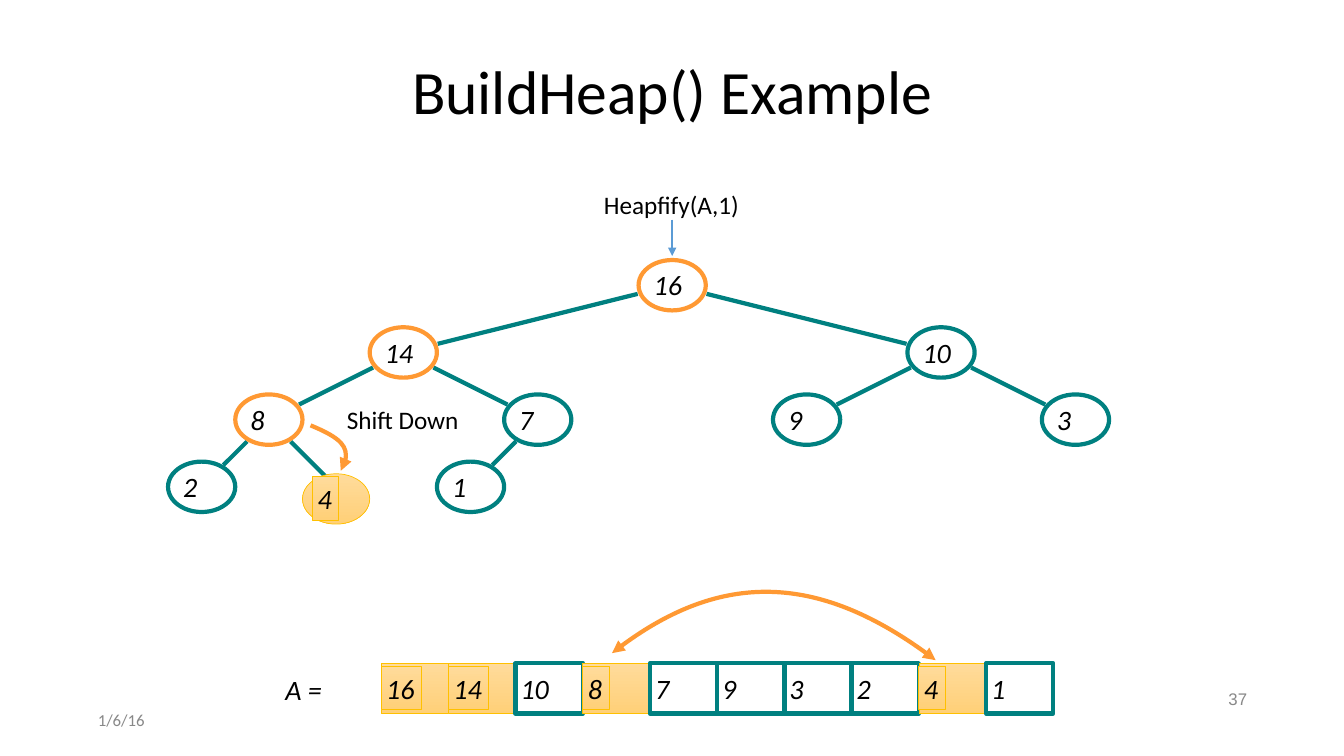
from lxml import etree
from pptx import Presentation
from pptx.dml.color import RGBColor
from pptx.enum.shapes import MSO_CONNECTOR, MSO_SHAPE
from pptx.enum.text import MSO_ANCHOR, MSO_AUTO_SIZE, PP_ALIGN
from pptx.oxml.ns import qn
from pptx.util import Inches, Pt

STRAIGHT = MSO_CONNECTOR.STRAIGHT
OVAL, RECTANGLE = MSO_SHAPE.OVAL, MSO_SHAPE.RECTANGLE
TOP, MIDDLE = MSO_ANCHOR.TOP, MSO_ANCHOR.MIDDLE
LEFT, CENTER, RIGHT = PP_ALIGN.LEFT, PP_ALIGN.CENTER, PP_ALIGN.RIGHT
FIT_TEXT, NO_FIT = MSO_AUTO_SIZE.SHAPE_TO_FIT_TEXT, MSO_AUTO_SIZE.NONE

TEAL, ORANGE, GOLD, BLUE = "008080", "FF9933", "FFC000", "5B9BD5"
SHADE_LIGHT, SHADE_DARK = "FFDB9B", "FFD078"
WHITE, BLACK, GRAY = "FFFFFF", "000000", "888888"

HEAP = [16, 14, 10, 8, 7, 9, 3, 2, 4, 1]
SHIFT_PATH = (1, 2, 4)
SHIFTED = 9
SHADED_CELLS = (1, 2, 4, 9)
STEP = 2 / 3
WIDTH, HEIGHT = STEP, 0.5
ROOT_X, ROOT_Y = 20 / 3, 2.83
ARRAY_LEFT, ARRAY_TOP = 3.78, 6.58
EDGE_RADII = (0.36, 0.27)


def color(code):
    """Turn a hex string into a colour."""
    return RGBColor.from_string(code)


def set_line(shape, code, width):
    """Give a shape or connector its line."""
    shape.line.color.rgb = color(code)
    shape.line.width = Pt(width)


def add_ends(shape, *ends):
    """Put triangle arrowheads on the named ends of a line."""
    for end in ends:
        etree.SubElement(shape.line._get_or_add_ln(), qn(f"a:{end}"), type="triangle")


def shade(shape):
    """Fill a shape with the golden highlight gradient."""
    shape.fill.gradient()
    shape.fill.gradient_angle = 270
    for stop, code in zip(shape.fill.gradient_stops, (SHADE_LIGHT, SHADE_DARK)):
        stop.color.rgb = color(code)
    set_line(shape, GOLD, 0.5)


def add_outline(shapes, kind, left, top, line, fill=None, shaded=False):
    """Draw one node or cell outline."""
    shape = shapes.add_shape(kind, Inches(left), Inches(top), Inches(WIDTH), Inches(HEIGHT))
    shape.shadow.inherit = False
    if shaded:
        shade(shape)
        return
    if fill:
        shape.fill.solid()
        shape.fill.fore_color.rgb = color(fill)
    else:
        shape.fill.background()
    set_line(shape, line, 3)


def add_text(shapes, text, left, top, width, height, *, size=20, font="Calibri", code=BLACK,
             italic=False, align=LEFT, anchor=MIDDLE, wrap=False, spacing=None, shaded=False):
    """Add a text box with one formatted line."""
    box = shapes.add_textbox(Inches(left), Inches(top), Inches(width), Inches(height))
    frame = box.text_frame
    frame.word_wrap = wrap
    frame.auto_size = NO_FIT if wrap else FIT_TEXT
    frame.vertical_anchor = anchor
    frame.margin_left = frame.margin_right = Inches(0.05)
    frame.margin_top = frame.margin_bottom = Inches(0.05)
    para = frame.paragraphs[0]
    para.alignment = align
    if spacing:
        para.line_spacing = spacing
    span = para.add_run()
    span.text = text
    span.font.size = Pt(size)
    span.font.name = font
    span.font.italic = italic
    span.font.color.rgb = color(code)
    if shaded:
        shade(box)


def add_label(shapes, value, left, top, shaded=False):
    """Write a heap value, as wide as its digits need."""
    width = 0.4 if value > 9 else 0.26
    add_text(shapes, str(value), left, top, width, 0.43, italic=True, shaded=shaded)


def add_straight(page, start, end, code, width):
    """Draw a straight line between two points."""
    points = [Inches(length) for length in (*start, *end)]
    line = page.shapes.add_connector(STRAIGHT, *points)
    set_line(line, code, width)
    etree.SubElement(line._element.spPr, qn("a:effectLst"))
    return line


def add_curve(page, start, bend, controls, end, ends):
    """Draw a Bezier arrow whose widest point is bend."""
    emu = [tuple(Inches(length) for length in point) for point in (start, bend, end)]
    builder = page.shapes.build_freeform(*emu[0])
    builder.add_line_segments(emu[1:], close=False)
    curve = builder.convert_to_shape()
    curve.shadow.inherit = False
    curve.fill.background()
    set_line(curve, ORANGE, 3)
    add_ends(curve, *ends)
    outline = next(curve._element.iter(qn("a:path")))
    for segment in outline.findall(qn("a:lnTo")):
        outline.remove(segment)
    bezier = etree.SubElement(outline, qn("a:cubicBezTo"))
    for x, y in (*controls, end):
        etree.SubElement(bezier, qn("a:pt"), x=str(Inches(x) - curve.left),
                         y=str(Inches(y) - curve.top))


def node_center(index):
    """Place a node from its heap index, halving the spread per level."""
    x, level = ROOT_X, 0
    for bit in f"{index:b}"[1:]:
        spread = 4 * STEP / 2 ** level
        x += spread if bit == "1" else -spread
        level += 1
    return x, ROOT_Y + STEP * level


def add_node(page, index):
    """Draw a tree node with its value."""
    x, y = node_center(index)
    shifted = index == SHIFTED
    left, top = x - WIDTH / 2, y - HEIGHT / 2 + (0.12 if shifted else 0)
    group = page.shapes.add_group_shape()
    line = ORANGE if index in SHIFT_PATH else TEAL
    add_outline(group.shapes, OVAL, left, top, line, WHITE, shifted)
    add_label(group.shapes, HEAP[index - 1], left + 0.1, top + 0.03, shifted)


def add_edge(page, index):
    """Join a node to its parent, from rim to rim."""
    (x1, y1), (x2, y2) = node_center(index // 2), node_center(index)
    dx, dy = x2 - x1, y2 - y1
    rim = ((dx / EDGE_RADII[0]) ** 2 + (dy / EDGE_RADII[1]) ** 2) ** -0.5
    stop = 0 if index == SHIFTED else rim
    add_straight(page, (x1 + dx * rim, y1 + dy * rim),
                 (x2 - dx * stop, y2 - dy * stop), TEAL, 3)


def add_cell(page, index):
    """Draw one array cell with its value."""
    left = ARRAY_LEFT + (index - 1) * WIDTH
    shaded = index in SHADED_CELLS
    shapes = page.shapes if shaded else page.shapes.add_group_shape().shapes
    add_outline(shapes, RECTANGLE, left, ARRAY_TOP, TEAL, shaded=shaded)
    add_label(shapes, HEAP[index - 1], left, ARRAY_TOP + 0.03, shaded)


def main():
    """Build the heap slide."""
    deck = Presentation()
    deck.slide_width, deck.slide_height = Inches(13.33), Inches(7.5)
    page = deck.slides.add_slide(deck.slide_layouts[6])
    shapes = page.shapes
    indexes = range(1, len(HEAP) + 1)

    add_text(shapes, "1/6/16", 0.92, 7, 3, 0.29, size=12, code=GRAY, wrap=True)
    add_text(shapes, "37", 9.42, 6.8, 3, 0.29, size=12, font="Arial", code=GRAY,
             align=RIGHT, wrap=True, spacing=0.9)
    add_text(shapes, "BuildHeap() Example", 0.92, 0.4, 11.5, 1.07, size=44,
             align=CENTER, wrap=True, spacing=0.9)

    for index in indexes[1:]:
        add_edge(page, index)
    for index in indexes:
        add_node(page, index)
    for index in indexes:
        add_cell(page, index)

    add_text(shapes, "A =", 2.78, 6.62, 0.48, 0.43, italic=True)
    add_curve(page, (6.07, 6.48), (7.6, 5.89), ((7.09, 5.67), (8.16, 5.69)),
              (9.28, 6.55), ("headEnd", "tailEnd"))
    add_curve(page, (3.08, 4.22), (3.43, 4.5), ((3.4, 4.35), (3.5, 4.5)),
              (3.38, 4.67), ("tailEnd",))
    add_text(shapes, "Shift Down", 3.39, 3.96, 1.23, 0.41, size=18, anchor=TOP)
    add_text(shapes, "Heapfify(A,1)", 5.94, 1.83, 1.45, 0.41, size=18, anchor=TOP)
    add_ends(add_straight(page, (ROOT_X, 2.18), (ROOT_X, 2.54), BLUE, 1), "tailEnd")

    deck.save("out.pptx")


if __name__ == "__main__":
    main()
